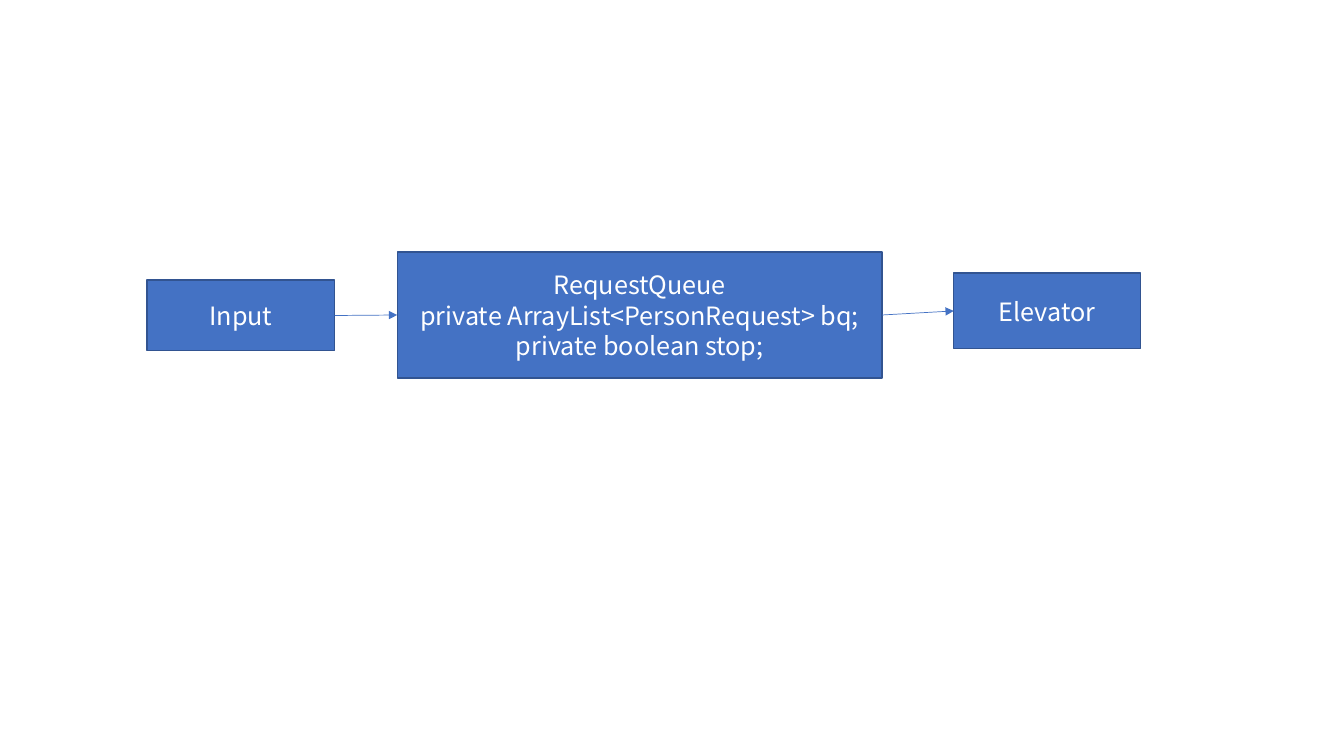
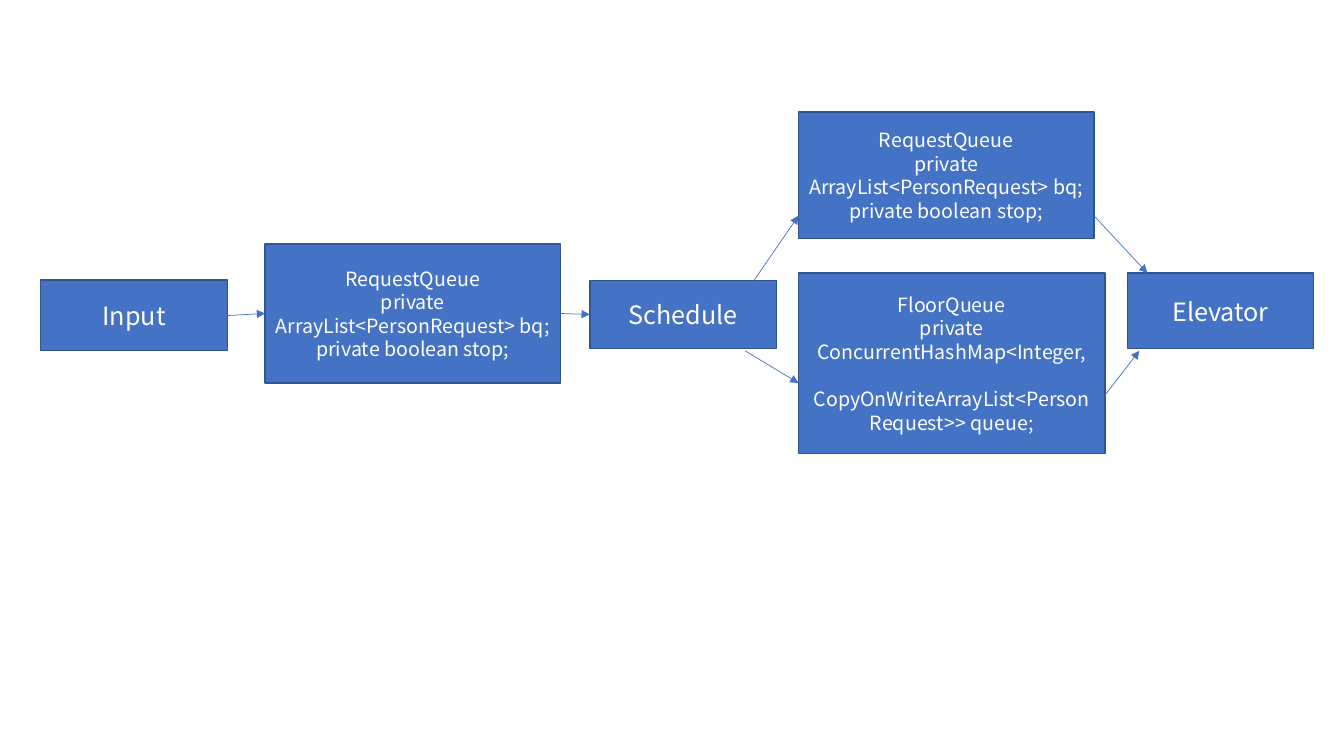
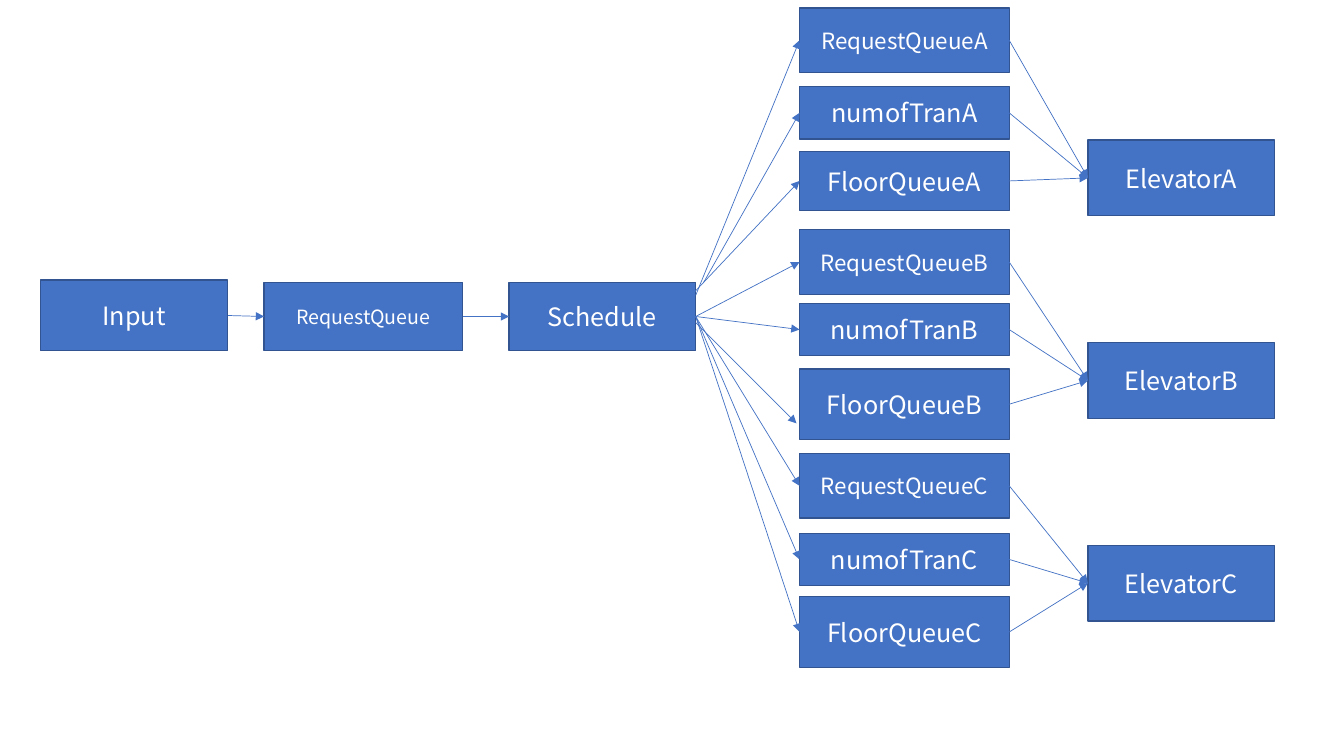
import dataclasses

import pptx
import pptx.dml.color
import pptx.enum.shapes
import pptx.enum.text
import pptx.oxml
import pptx.oxml.ns
import pptx.util

Inches = pptx.util.Inches
Pt = pptx.util.Pt


@dataclasses.dataclass(frozen=True)
class Theme:
    fill: str = "4472C4"
    outline: str = "325491"
    text: str = "FFFFFF"
    font: str = "Noto Sans CJK SC"
    large: int = 18
    medium: int = 16
    small: int = 14
    leading: float = 1.2
    outline_width: float = 1
    arrow_width: float = 0.5


@dataclasses.dataclass(frozen=True)
class Box:
    left: float
    top: float
    width: float
    height: float

    def inner(self, across, down, width, height):
        return Box(self.left + across, self.top + down, width, height)

    def point(self, across, down):
        return self.left + across, self.top + down


THEME = Theme()
INPUT_SIZE = (1.86, 0.7)
SCHEDULE_SIZE = (1.85, 0.68)
ELEVATOR_SIZE = (1.85, 0.75)
LEFT_SITE, RIGHT_SITE = 1, 3
REQUEST_QUEUE = ["RequestQueue", "private ArrayList<PersonRequest> bq;",
                 "private boolean stop;"]
FLOOR_QUEUE = ["FloorQueue", "private ConcurrentHashMap<Integer,",
               "CopyOnWriteArrayList<PersonRequest>> queue;"]


def color(code):
    return pptx.dml.color.RGBColor.from_string(code)


# Shared parts: labelled node and arrow
def add_node(page, box, lines, size=THEME.large):
    node = page.shapes.add_shape(
        pptx.enum.shapes.MSO_SHAPE.RECTANGLE,
        Inches(box.left), Inches(box.top), Inches(box.width), Inches(box.height))
    node.shadow.inherit = False
    node.fill.solid()
    node.fill.fore_color.rgb = color(THEME.fill)
    node.line.color.rgb = color(THEME.outline)
    node.line.width = Pt(THEME.outline_width)
    frame = node.text_frame
    frame.word_wrap = True
    frame.vertical_anchor = pptx.enum.text.MSO_ANCHOR.MIDDLE
    frame.text = "\n".join(lines)
    for para in frame.paragraphs:
        para.alignment = pptx.enum.text.PP_ALIGN.CENTER
        para.line_spacing = Pt(size * THEME.leading)
        para.font.name = THEME.font
        para.font.size = Pt(size)
        para.font.color.rgb = color(THEME.text)
    return node


def add_arrow(page, source, target, start=None, end=None):
    """Join right side to left side, unless a free start or end point is given."""
    start_x, start_y = start or (0, 0)
    end_x, end_y = end or (0, 0)
    arrow = page.shapes.add_connector(
        pptx.enum.shapes.MSO_CONNECTOR.STRAIGHT,
        Inches(start_x), Inches(start_y), Inches(end_x), Inches(end_y))
    if start is None:
        arrow.begin_connect(source, RIGHT_SITE)
    if end is None:
        arrow.end_connect(target, LEFT_SITE)
    arrow.line.color.rgb = color(THEME.fill)
    arrow.line.width = Pt(THEME.arrow_width)
    properties = arrow.element.spPr
    head = pptx.oxml.parse_xml(
        '<a:tailEnd %s type="triangle"/>' % pptx.oxml.ns.nsdecls("a"))
    properties.find(pptx.oxml.ns.qn("a:ln")).append(head)
    properties.append(
        pptx.oxml.parse_xml("<a:effectLst %s/>" % pptx.oxml.ns.nsdecls("a")))


# One queue between input and elevator
def build_single_queue(page, box):
    queue = add_node(page, box.inner(2.48, 0, 4.81, 1.25), REQUEST_QUEUE)
    elevator = add_node(page, box.inner(8, 0.21, *ELEVATOR_SIZE), ["Elevator"])
    source = add_node(page, box.inner(0, 0.28, *INPUT_SIZE), ["Input"])
    add_arrow(page, source, queue)
    add_arrow(page, queue, elevator)


# Scheduler feeding a request queue and a floor queue
def build_scheduler(page, box):
    queue = add_node(page, box.inner(2.23, 1.31, 2.93, 1.38), REQUEST_QUEUE, THEME.small)
    elevator = add_node(page, box.inner(10.78, 1.6, *ELEVATOR_SIZE), ["Elevator"])
    source = add_node(page, box.inner(0, 1.67, *INPUT_SIZE), ["Input"])
    schedule = add_node(page, box.inner(5.45, 1.67, *SCHEDULE_SIZE), ["Schedule"])
    add_arrow(page, source, queue)
    add_arrow(page, queue, schedule)

    floors = add_node(page, box.inner(7.52, 1.6, 3.04, 1.79), FLOOR_QUEUE, THEME.small)
    floors.text_frame.paragraphs[-1].space_before = Pt(THEME.small * THEME.leading)
    requests = add_node(page, box.inner(7.52, 0, 2.93, 1.26), REQUEST_QUEUE, THEME.small)
    add_arrow(page, schedule, requests, box.point(7.08, 1.67), box.point(7.52, 1.03))
    add_arrow(page, schedule, floors, box.point(6.99, 2.37), box.point(7.52, 2.69))
    add_arrow(page, requests, elevator, box.point(10.45, 1.03), box.point(10.98, 1.6))
    add_arrow(page, floors, elevator, box.point(10.56, 2.81), box.point(10.9, 2.37))


# One elevator with its three stores, all fed by the scheduler
def build_elevator_group(page, box, letter, schedule, count_down, floor_down,
                         floor_height, elevator_down, free_ends):
    stores = {
        "RequestQueue": (0, 0.64, THEME.medium),
        "numofTran": (count_down, 0.52, THEME.large),
        "FloorQueue": (floor_down, floor_height, THEME.large),
    }
    elevator = add_node(page, box.inner(2.86, elevator_down, *ELEVATOR_SIZE),
                        ["Elevator" + letter])
    for name, (down, height, size) in stores.items():
        store = add_node(page, box.inner(0, down, 2.08, height), [name + letter], size)
        add_arrow(page, schedule, store, *free_ends.get(name, ()))
        add_arrow(page, store, elevator)


# Scheduler feeding three elevator groups
def build_three_elevators(page, box):
    queue = add_node(page, box.inner(2.22, 2.72, 1.97, 0.68), ["RequestQueue"], THEME.small)
    source = add_node(page, box.inner(0, 2.7, *INPUT_SIZE), ["Input"])
    schedule = add_node(page, box.inner(4.65, 2.72, *SCHEDULE_SIZE), ["Schedule"])
    add_arrow(page, source, queue)
    add_arrow(page, queue, schedule)

    free_ends_a = {"RequestQueue": [box.point(6.5, 2.85)],
                   "numofTran": [box.point(6.58, 2.72)],
                   "FloorQueue": [box.point(6.41, 2.9)]}
    free_ends_b = {"FloorQueue": [box.point(6.5, 3.12), box.point(7.5, 4.12)]}
    # letter, top, count offset, floor offset, floor height, free arrow ends
    groups = [("A", 0, 0.78, 1.42, 0.59, free_ends_a),
              ("B", 2.2, 0.73, 1.38, 0.7, free_ends_b),
              ("C", 4.42, 0.79, 1.42, 0.7, {})]
    for index, (letter, top, count_down, floor_down, height, ends) in enumerate(groups):
        elevator_down = 1.31 + 2.01 * index - top
        build_elevator_group(page, box.inner(7.53, top, 4.71, 2.12), letter, schedule,
                             count_down, floor_down, height, elevator_down, ends)


deck = pptx.Presentation()
deck.slide_width = Inches(13.33)
deck.slide_height = Inches(7.5)
blank_layout = deck.slide_layouts[6]
for build, area in [(build_single_queue, Box(1.46, 2.5, 9.85, 1.25)),
                    (build_scheduler, Box(0.4, 1.11, 12.63, 3.39)),
                    (build_three_elevators, Box(0.4, 0.08, 12.24, 6.54))]:
    build(deck.slides.add_slide(blank_layout), area)
deck.save("out.pptx")
